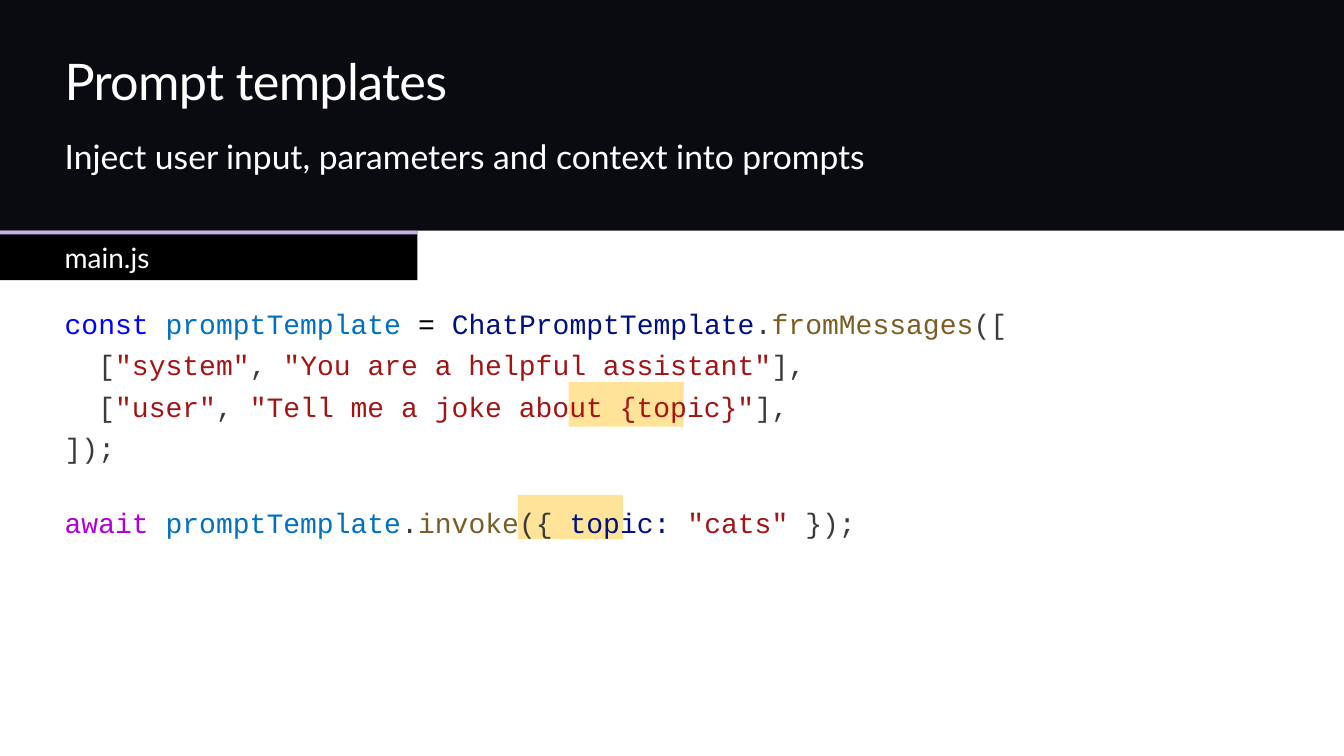
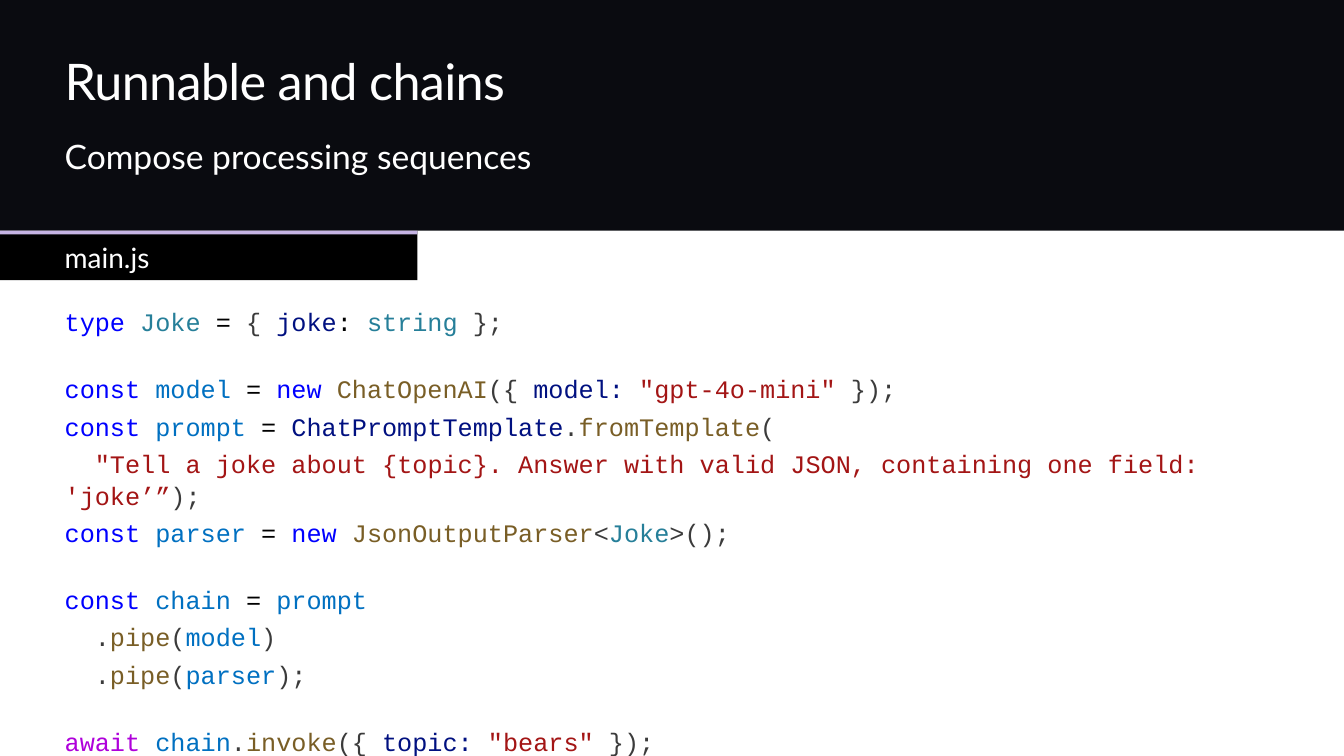
from dataclasses import dataclass, field

from pptx import Presentation
from pptx.dml.color import RGBColor
from pptx.enum import shapes, text
from pptx.util import Cm, Pt


def syntax_colors():
    return {
        "keyword": "0000FF",
        "control": "AF00DB",
        "const": "0070C1",
        "operator": "000000",
        "name": "001080",
        "call": "795E26",
        "type": "267F99",
        "string": "A31515",
        "plain": "3B3B3B",
    }


@dataclass(frozen=True)
class Theme:
    dark: str = "0A0B10"
    light: str = "FFFFFF"
    tab: str = "000000"
    accent: str = "C5B4E3"
    highlight: str = "FFE399"
    syntax: dict = field(default_factory=syntax_colors)
    font: str = "Lato"
    code_font: str = "Courier New"
    title_size: int = 36
    subtitle_size: int = 24
    tab_size: int = 20
    line_spacing: float = 1.05
    paragraph_gap: float = 0.22
    blank_line: float = 1.19


THEME = Theme()

WIDTH, HEIGHT = Cm(33.87), Cm(19.05)
MARGIN, TEXT_WIDTH = Cm(1.63), Cm(30.61)
HEADER_HEIGHT = Cm(5.81)
TAB_WIDTH, TAB_HEIGHT, TAB_EDGE = Cm(10.52), Cm(1.25), Cm(0.1)
CODE_TOP = Cm(7.68)

TEMPLATE_CODE = [
    [("keyword", "const "), ("const", "promptTemplate "), ("operator", "= "),
     ("name", "ChatPromptTemplate"), ("plain", "."),
     ("call", "fromMessages"), ("plain", "([")],
    [("plain", "  ["), ("string", '"system"'), ("plain", ", "),
     ("string", '"You are a helpful assistant"'), ("plain", "],")],
    [("plain", "  ["), ("string", '"user"'), ("plain", ", "),
     ("string", '"Tell me a joke about {topic}"'), ("plain", "],")],
    [("plain", "]);")],
    [],
    [("control", "await "), ("const", "promptTemplate"), ("plain", "."),
     ("call", "invoke"), ("plain", "({ "), ("name", "topic: "),
     ("string", '"cats"'), ("plain", " });")],
]

TEMPLATE_HIGHLIGHTS = [
    (Cm(14.33), Cm(9.63), Cm(2.9)),
    (Cm(13.06), Cm(12.47), Cm(2.64)),
]

CHAIN_CODE = [
    [("keyword", "type "), ("type", "Joke "), ("operator", "= "),
     ("plain", "{ "), ("name", "joke"), ("operator", ": "),
     ("type", "string"), ("plain", " };")],
    [],
    [("keyword", "const "), ("const", "model "), ("operator", "= "),
     ("keyword", "new "), ("call", "ChatOpenAI"), ("plain", "({ "),
     ("name", "model: "), ("string", '"gpt-4o-mini"'), ("plain", " });")],
    [("keyword", "const "), ("const", "prompt "), ("operator", "= "),
     ("name", "ChatPromptTemplate"), ("plain", "."),
     ("call", "fromTemplate"), ("plain", "(")],
    [("string", '  "Tell a joke about {topic}. Answer with valid JSON, '
                "containing one field: 'joke’”"), ("plain", ");")],
    [("keyword", "const "), ("const", "parser "), ("operator", "= "),
     ("keyword", "new "), ("call", "JsonOutputParser"), ("plain", "<"),
     ("type", "Joke"), ("plain", ">();")],
    [],
    [("keyword", "const "), ("const", "chain "), ("operator", "= "),
     ("const", "prompt")],
    [("plain", "  ."), ("call", "pipe"), ("plain", "("),
     ("const", "model"), ("plain", ")")],
    [("plain", "  ."), ("call", "pipe"), ("plain", "("),
     ("const", "parser"), ("plain", ");")],
    [],
    [("control", "await "), ("const", "chain"), ("plain", "."),
     ("call", "invoke"), ("plain", "({ "), ("name", "topic: "),
     ("string", '"bears"'), ("plain", " });")],
]


def add_block(slide, left, top, width, height, color):
    block = slide.shapes.add_shape(
        shapes.MSO_SHAPE.RECTANGLE, left, top, width, height)
    block.shadow.inherit = False
    block.fill.solid()
    block.fill.fore_color.rgb = RGBColor.from_string(color)
    block.line.fill.background()
    return block


def set_frame(shape, left=0, top=0):
    frame = shape.text_frame
    frame.word_wrap = True
    frame.vertical_anchor = text.MSO_ANCHOR.TOP
    frame.margin_left, frame.margin_top = left, top
    frame.margin_right = frame.margin_bottom = 0
    return frame


def add_text_area(slide, top, height):
    return set_frame(slide.shapes.add_textbox(MARGIN, top, TEXT_WIDTH, height))


def add_run(paragraph, words, size, color, font=THEME.font):
    run = paragraph.add_run()
    run.text = words
    run.font.name = font
    run.font.size = Pt(size)
    run.font.color.rgb = RGBColor.from_string(color)
    return run


def add_header(slide, title, subtitle):
    heading = add_text_area(slide, Cm(1.27), Cm(1.55)).paragraphs[0]
    title_run = add_run(heading, title, THEME.title_size, THEME.light)
    title_run.font._element.set("spc", "-50")
    tagline = add_text_area(slide, Cm(3.43), Cm(1.02)).paragraphs[0]
    add_run(tagline, subtitle, THEME.subtitle_size, THEME.light)


def add_file_tab(slide, filename):
    tab = add_block(slide, 0, HEADER_HEIGHT, TAB_WIDTH, TAB_HEIGHT, THEME.tab)
    label = set_frame(tab, left=MARGIN, top=Cm(0.25)).paragraphs[0]
    label.alignment = text.PP_ALIGN.LEFT
    add_run(label, filename, THEME.tab_size, THEME.light)
    add_block(slide, 0, HEADER_HEIGHT, TAB_WIDTH, TAB_EDGE, THEME.accent)


def add_code(slide, lines, size, height):
    frame = add_text_area(slide, CODE_TOP, height)
    gap = 0
    for index, tokens in enumerate(lines):
        if not tokens:
            gap += size * THEME.blank_line
            continue
        paragraph = frame.add_paragraph() if index else frame.paragraphs[0]
        paragraph.line_spacing = THEME.line_spacing
        paragraph.space_before = Pt(gap)
        for kind, words in tokens:
            add_run(paragraph, words, size, THEME.syntax[kind], THEME.code_font)
        gap = size * THEME.paragraph_gap


def add_code_slide(deck, title, subtitle, lines, size, height, highlights=()):
    slide = deck.slides.add_slide(deck.slide_layouts[6])
    slide.background.fill.solid()
    slide.background.fill.fore_color.rgb = RGBColor.from_string(THEME.dark)
    add_block(slide, 0, HEADER_HEIGHT, WIDTH, HEIGHT - HEADER_HEIGHT, THEME.light)
    add_header(slide, title, subtitle)
    add_file_tab(slide, "main.js")
    for left, top, width in highlights:
        add_block(slide, left, top, width, Cm(1.12), THEME.highlight)
    add_code(slide, lines, size, height)


def main():
    deck = Presentation()
    deck.slide_width, deck.slide_height = WIDTH, HEIGHT
    add_code_slide(
        deck, "Prompt templates",
        "Inject user input, parameters and context into prompts",
        TEMPLATE_CODE, 20, Cm(5.82), TEMPLATE_HIGHLIGHTS)
    add_code_slide(
        deck, "Runnable and chains", "Compose processing sequences",
        CHAIN_CODE, 18, Cm(10.46))
    deck.save("out.pptx")


if __name__ == "__main__":
    main()
